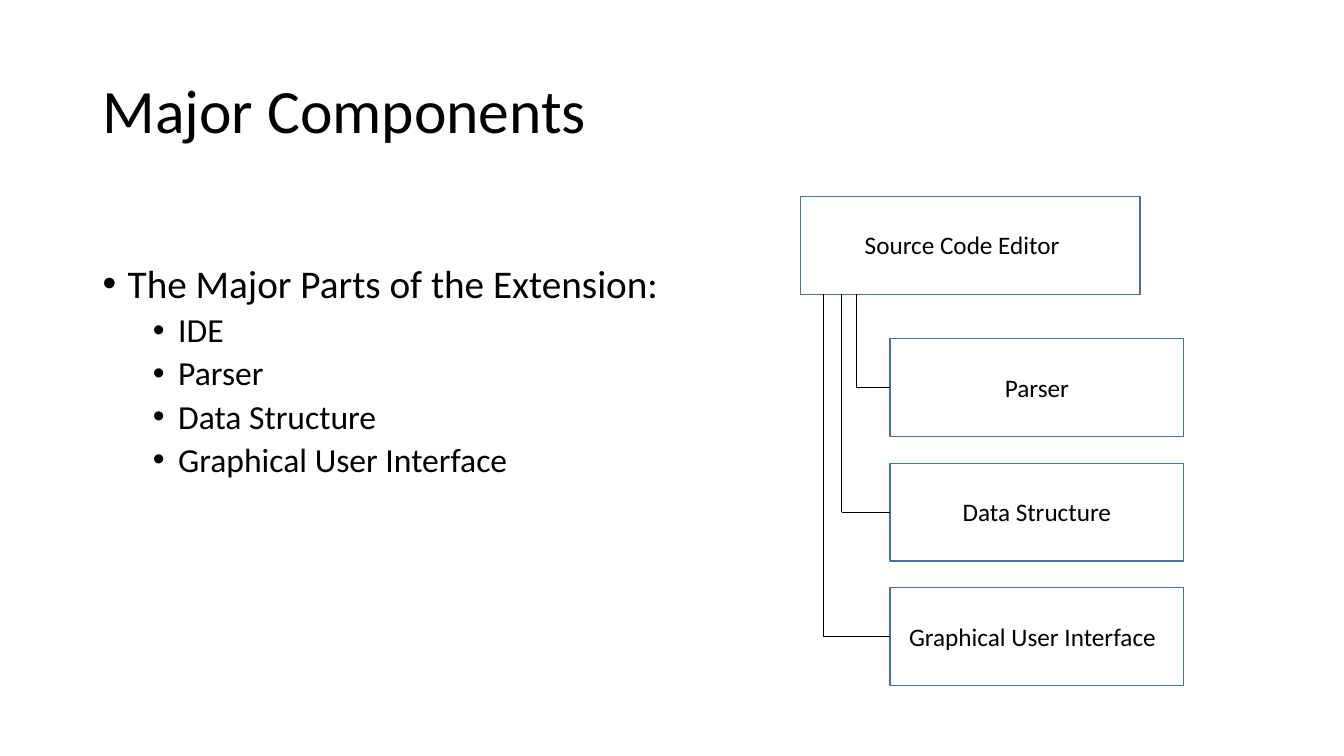
from lxml import etree
from pptx import Presentation
from pptx.dml.color import RGBColor
from pptx.enum.shapes import MSO_CONNECTOR, MSO_SHAPE
from pptx.enum.text import MSO_ANCHOR, MSO_AUTO_SIZE, PP_ALIGN
from pptx.oxml.ns import qn
from pptx.util import Inches, Pt

W, H = Inches(13.33), Inches(7.5)
FONT, BLACK, BLUE = "Calibri", "000000", "43739E"

# Diagram layout, in percent of the slide's width and height
BOX_H, LABEL_H, LABEL_DROP = 12.93, 5.33, 3.73
ROOT = ("Source Code Editor", 59.55, 26, 25.28, 63.6, 17.18)
CHILD_X, CHILD_Y, CHILD_W, CHILD_STEP = 66.23, 44.8, 21.83, 16.47
# Label, label left, label width, trunk position
CHILDREN = [
    ("Parser", 74.03, 6.3, 63.75),
    ("Data Structure", 70.88, 12.68, 62.63),
    ("Graphical User Interface", 66.9, 20.03, 61.28),
]
PARTS = ["IDE"] + [child[0] for child in CHILDREN]


def color(value):
    return RGBColor.from_string(value)


def px(share):
    return round(W * share / 100)


def py(share):
    return round(H * share / 100)


def area(x, y, w, h):
    return px(x), py(y), px(w), py(h)


def place(sp, *shares):
    sp.left, sp.top, sp.width, sp.height = area(*shares)


def style(p, size):
    p.alignment = PP_ALIGN.LEFT
    for r in p.runs:
        r.font.name, r.font.size = FONT, Pt(size)
        r.font.color.rgb = color(BLACK)


def bullet(p, level, size, before):
    p.level = level
    p.line_spacing, p.space_before = 0.9, Pt(before)
    style(p, size)
    pPr = p._p.get_or_add_pPr()
    pPr.set("marL", str(Inches(0.25 + 0.5 * level)))
    pPr.set("indent", str(-Inches(0.25)))
    etree.SubElement(pPr, qn("a:buFont")).set("typeface", "Arial")
    etree.SubElement(pPr, qn("a:buChar")).set("char", "•")


def add_title(s, text):
    sp = s.shapes.title
    place(sp, 6.88, 5.33, 86.25, 19.33)
    tf = sp.text_frame
    tf.text = text
    tf.auto_size = MSO_AUTO_SIZE.NONE
    tf.vertical_anchor = MSO_ANCHOR.MIDDLE
    tf.paragraphs[0].line_spacing = 0.9
    style(tf.paragraphs[0], 44)


def add_list(s, heading, items):
    sp = s.placeholders[1]
    place(sp, 6.88, 26.67, 59.55, 63.47)
    tf = sp.text_frame
    tf.auto_size = MSO_AUTO_SIZE.NONE
    tf.margin_top = Inches(0.62)
    tf.text = heading
    bullet(tf.paragraphs[0], 0, 28, 0)
    for item in items:
        p = tf.add_paragraph()
        p.text = item
        bullet(p, 1, 24, 5)


def add_box(s, text, x, y, w, label_x, label_w):
    sp = s.shapes.add_shape(MSO_SHAPE.RECTANGLE, *area(x, y, w, BOX_H))
    sp.shadow.inherit = False
    sp.fill.background()
    sp.line.color.rgb, sp.line.width = color(BLUE), Pt(1)
    label = s.shapes.add_textbox(*area(label_x, y + LABEL_DROP, label_w, LABEL_H))
    tf = label.text_frame
    tf.text = text
    tf.word_wrap = False
    style(tf.paragraphs[0], 18)


def add_line(s, x1, y1, x2, y2):
    cn = s.shapes.add_connector(MSO_CONNECTOR.STRAIGHT, px(x1), py(y1), px(x2), py(y2))
    cn.line.color.rgb, cn.line.width = color(BLACK), Pt(0.5)
    etree.SubElement(cn._element.spPr, qn("a:effectLst"))


def add_diagram(s):
    add_box(s, *ROOT)
    root_bottom = ROOT[2] + BOX_H
    for i, (text, label_x, label_w, trunk) in enumerate(CHILDREN):
        y = CHILD_Y + i * CHILD_STEP
        middle = y + BOX_H / 2
        add_box(s, text, CHILD_X, y, CHILD_W, label_x, label_w)
        add_line(s, trunk, root_bottom, trunk, middle)
        add_line(s, trunk, middle, CHILD_X, middle)


def main():
    prs = Presentation()
    prs.slide_width, prs.slide_height = W, H
    s = prs.slides.add_slide(prs.slide_layouts[1])
    add_title(s, "Major Components")
    add_list(s, "The Major Parts of the Extension:", PARTS)
    add_diagram(s)
    prs.save("out.pptx")


main()
